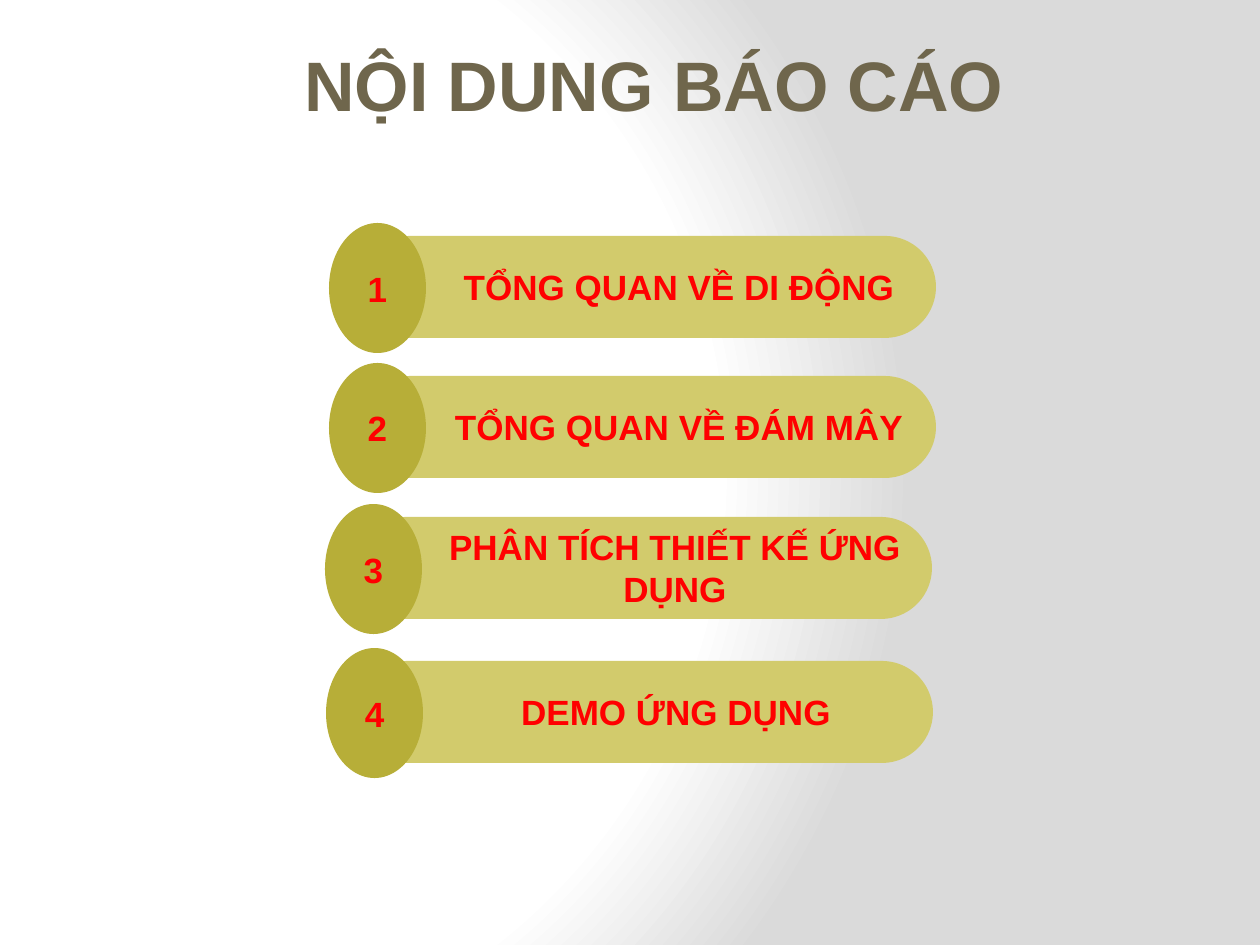
from pptx import Presentation
from pptx.dml.color import RGBColor
from pptx.enum.shapes import MSO_SHAPE
from pptx.enum.text import MSO_ANCHOR, MSO_AUTO_SIZE, PP_ALIGN
from pptx.oxml import parse_xml
from pptx.util import Emu, Inches, Pt

PX = 914400 // 126
COLORS = {
    "title": "6F664C",
    "bar": "D2CB6C",
    "badge": "B7AE38",
    "label": "FF0000",
    "light": "FFFFFF",
    "shade": "DADADA",
}


def write(frame, text, size, color):
    """Fill a text frame with one bold centred paragraph and return it."""
    frame.word_wrap = True
    paragraph = frame.paragraphs[0]
    paragraph.text = text
    paragraph.alignment = PP_ALIGN.CENTER
    paragraph.font.name = "Arial"
    paragraph.font.size = Pt(size)
    paragraph.font.bold = True
    paragraph.font.color.rgb = RGBColor.from_string(COLORS[color])
    return paragraph


def add_label(kind, box, fill, text):
    """Add a borderless filled shape, box in px, and return its paragraph."""
    shape = slide.shapes.add_shape(kind, *(Emu(n * PX) for n in box))
    shape.shadow.inherit = False
    shape.fill.solid()
    shape.fill.fore_color.rgb = RGBColor.from_string(COLORS[fill])
    shape.line.fill.background()
    if kind == MSO_SHAPE.ROUNDED_RECTANGLE:
        shape.adjustments[0] = 0.5
    shape.text_frame.vertical_anchor = MSO_ANCHOR.MIDDLE
    return write(shape.text_frame, text, 20, "label")


deck = Presentation()
deck.slide_width, deck.slide_height = Inches(10), Inches(7.5)
slide = deck.slides.add_slide(deck.slide_layouts[6])

# Radial background gradient
stops = "".join(
    f'<a:gs pos="{percent * 1000}"><a:srgbClr val="{COLORS[name]}"/></a:gs>'
    for percent, name in ((0, "light"), (75, "light"), (100, "shade"))
)
background = parse_xml(
    '<p:bg xmlns:p="http://schemas.openxmlformats.org/presentationml/2006/main"'
    ' xmlns:a="http://schemas.openxmlformats.org/drawingml/2006/main"><p:bgPr>'
    f'<a:gradFill rotWithShape="1"><a:gsLst>{stops}</a:gsLst><a:path path="circle">'
    '<a:fillToRect l="20000" t="50000" r="100000" b="50000"/></a:path></a:gradFill>'
    "<a:effectLst/></p:bgPr></p:bg>"
)
slide.element.cSld.insert(0, background)

# Title
title = slide.shapes.add_textbox(*(Emu(n * PX) for n in (48, 0, 1212, 127)))
frame = title.text_frame
frame.margin_left = frame.margin_top = frame.margin_right = frame.margin_bottom = 0
heading = write(frame, "NỘI DUNG BÁO CÁO", 40, "title")
heading.line_spacing = 1.5
frame.auto_size = MSO_AUTO_SIZE.SHAPE_TO_FIT_TEXT

# Agenda: all bars first, then the numbered badges that overlap them
agenda = [
    (329, 223, "TỔNG QUAN VỀ DI ĐỘNG"),
    (329, 363, "TỔNG QUAN VỀ ĐÁM MÂY"),
    (325, 504, "PHÂN TÍCH THIẾT KẾ ỨNG DỤNG"),
    (326, 648, "DEMO ỨNG DỤNG"),
]
for left, top, topic in agenda:
    bar_box = (left + 30, top + 13, 577, 102)
    line = add_label(MSO_SHAPE.ROUNDED_RECTANGLE, bar_box, "bar", topic)
    line.level = 1
    properties = line._p.get_or_add_pPr()
    properties.set("marL", str(Inches(0.5)))
    properties.set("indent", "0")

for number, (left, top, topic) in enumerate(agenda, 1):
    add_label(MSO_SHAPE.OVAL, (left, top, 97, 130), "badge", str(number))

deck.save("out.pptx")
